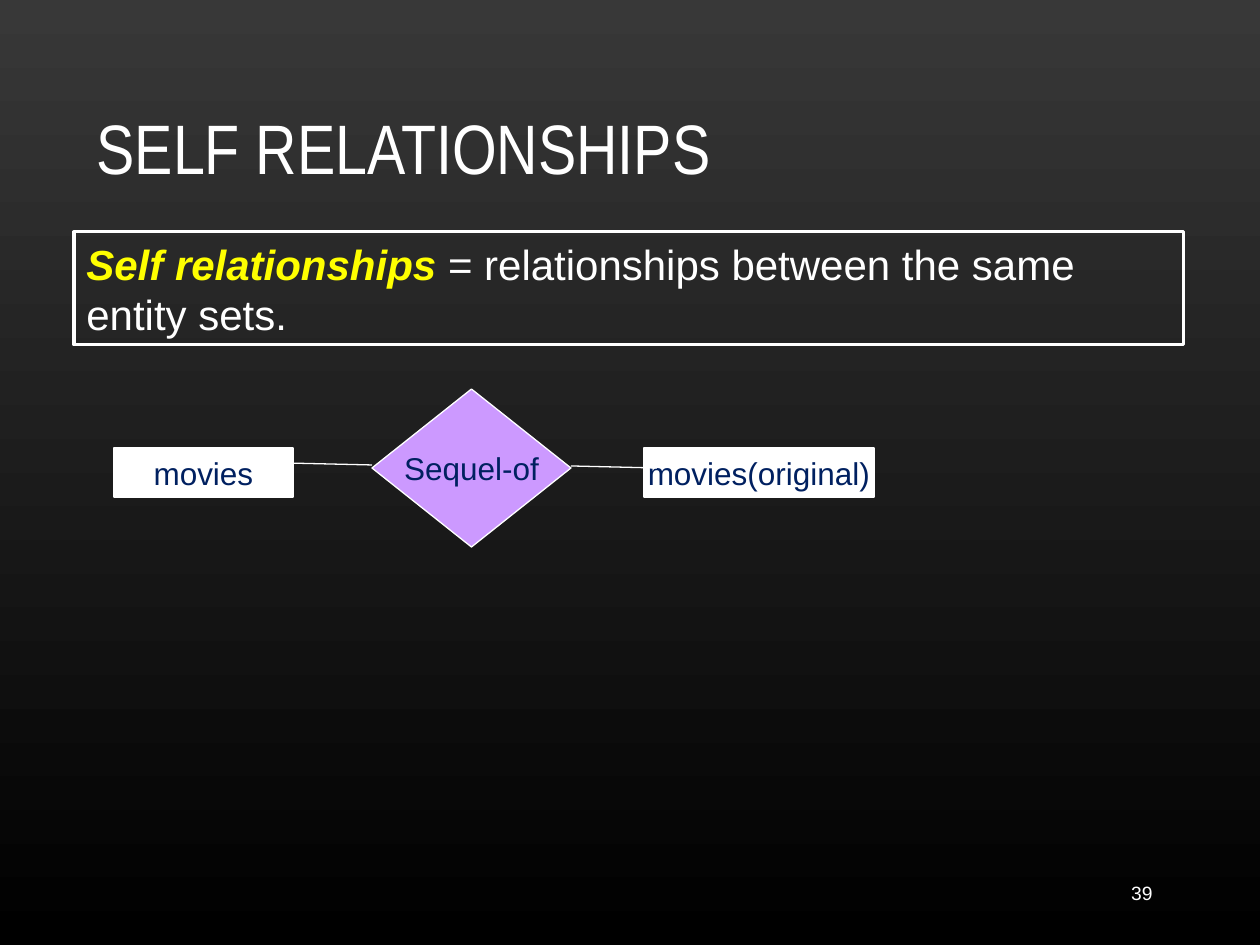
from lxml.etree import SubElement
from pptx import Presentation
from pptx.dml.color import RGBColor
from pptx.enum.shapes import MSO_CONNECTOR, MSO_SHAPE
from pptx.enum.text import MSO_ANCHOR, MSO_AUTO_SIZE, PP_ALIGN
from pptx.oxml.ns import qn
from pptx.util import Emu, Pt

PX_PER_INCH = 126
COLORS = {
    "top": "383838",
    "bottom": "000000",
    "white": "FFFFFF",
    "term": "FFFF00",
    "label": "002060",
    "relationship": "CC99FF",
}


def px(*lengths):
    return [Emu(round(length * 914400 / PX_PER_INCH)) for length in lengths]


def color(name):
    return RGBColor.from_string(COLORS[name])


def write_text(shape, *runs, size=18, font="Arial", align=PP_ALIGN.LEFT,
               anchor=MSO_ANCHOR.MIDDLE, wrap=True):
    """Write one paragraph; each run is (text, colour name, emphasized)."""
    frame = shape.text_frame
    frame.word_wrap = wrap
    frame.vertical_anchor = anchor
    paragraph = frame.paragraphs[0]
    paragraph.alignment = align
    for text, color_name, emphasized in runs:
        run = paragraph.add_run()
        run.text = text
        run.font.name = font
        run.font.size = Pt(size)
        run.font.bold = run.font.italic = emphasized
        run.font.color.rgb = color(color_name)


def set_background(slide):
    fill = slide.background.fill
    fill.gradient()
    fill.gradient_angle = 270
    for stop, name, position in zip(fill.gradient_stops, ("top", "bottom"), (0, 1)):
        stop.color.rgb = color(name)
        stop.position = position


def add_title(slide, text):
    title = slide.shapes.title
    title.left, title.top, title.width, title.height = px(84, 38, 1092, 157)
    write_text(title, (text, "white", False), size=40, font="Arial Narrow",
               anchor=MSO_ANCHOR.BOTTOM)


def add_outlined_shape(shapes, kind, box, line_width, fill=None):
    shape = shapes.add_shape(kind, *px(*box))
    shape.shadow.inherit = False
    shape.line.color.rgb = color("white")
    shape.line.width = Pt(line_width)
    if fill:
        shape.fill.solid()
        shape.fill.fore_color.rgb = color(fill)
    else:
        shape.fill.background()
    return shape


def add_node(shapes, text, kind, box, fill):
    node = add_outlined_shape(shapes, kind, box, 0.75, fill)
    write_text(node, (text, "label", False), align=PP_ALIGN.CENTER, wrap=False)


def add_link(slide, *ends):
    link = slide.shapes.add_connector(MSO_CONNECTOR.STRAIGHT, *px(*ends))
    link.line.color.rgb = color("white")
    link.line.width = Pt(0.75)
    SubElement(link._element.spPr, qn("a:effectLst"))


def add_slide_number(slide, number):
    box = slide.shapes.add_textbox(*px(903, 861, 262, 63))
    write_text(box, (number, "white", False), size=11, align=PP_ALIGN.RIGHT)


def main():
    presentation = Presentation()
    presentation.slide_width, presentation.slide_height = px(1260, 945)
    slide = presentation.slides.add_slide(presentation.slide_layouts[5])
    set_background(slide)
    add_title(slide, "SELF RELATIONSHIPS")

    # Definition
    definition = add_outlined_shape(slide.shapes, MSO_SHAPE.RECTANGLE,
                                    (74, 232, 1110, 113), 1.75)
    write_text(definition, ("Self relationships", "term", True),
               (" = relationships between the same entity sets.", "white", False),
               size=24, anchor=MSO_ANCHOR.TOP)
    definition.text_frame.auto_size = MSO_AUTO_SIZE.SHAPE_TO_FIT_TEXT

    # Entity sets and the relationship between them
    group = slide.shapes.add_group_shape()
    add_node(group.shapes, "movies", MSO_SHAPE.RECTANGLE, (114, 448, 179, 49), "white")
    add_node(group.shapes, "Sequel-of", MSO_SHAPE.DIAMOND, (372, 389, 199, 158),
             "relationship")
    add_node(slide.shapes, "movies(original)", MSO_SHAPE.RECTANGLE,
             (644, 448, 230, 49), "white")
    add_link(slide, 286, 463, 372, 465)
    add_link(slide, 571, 466, 657, 468)

    add_slide_number(slide, "39")
    presentation.save("out.pptx")


if __name__ == "__main__":
    main()
